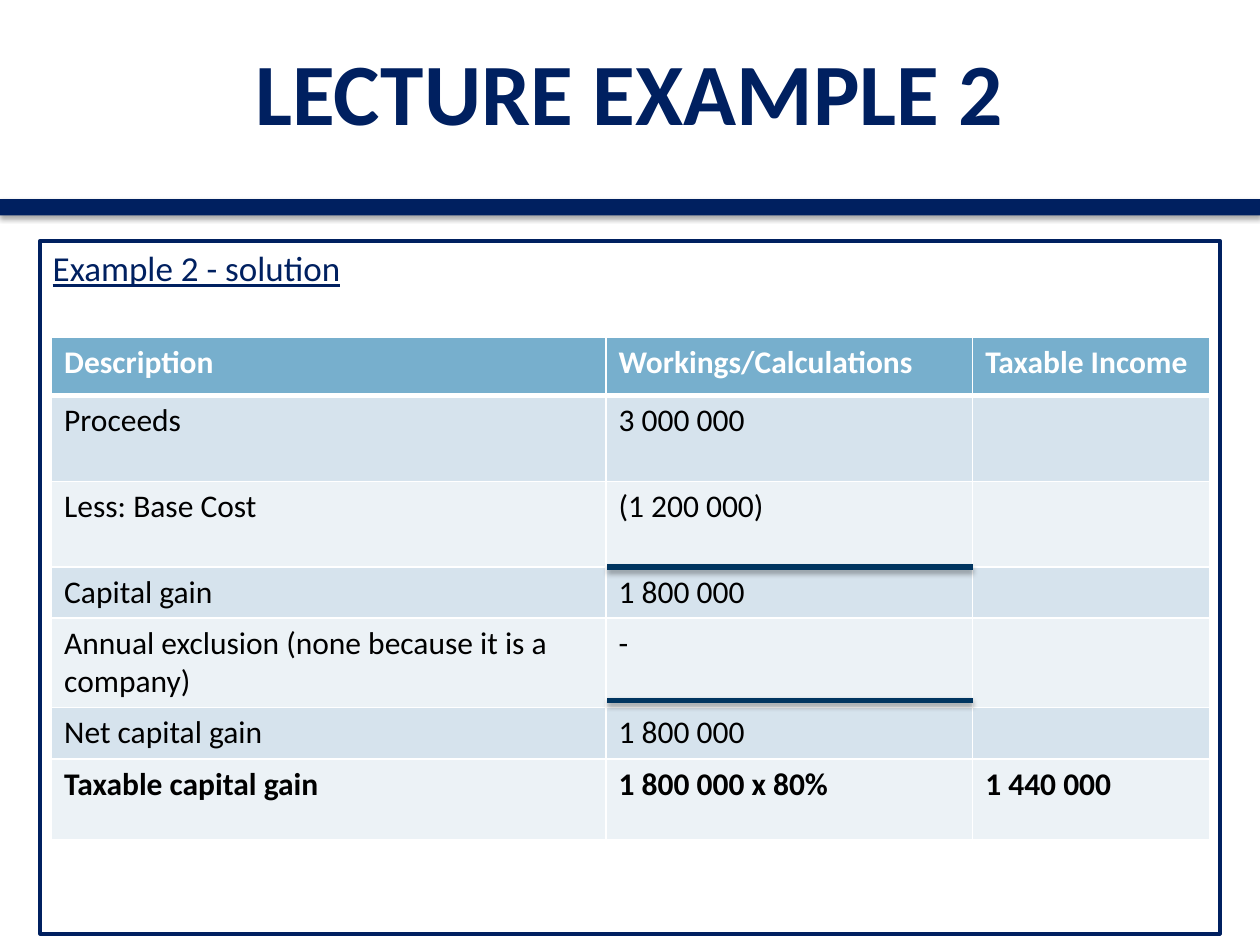
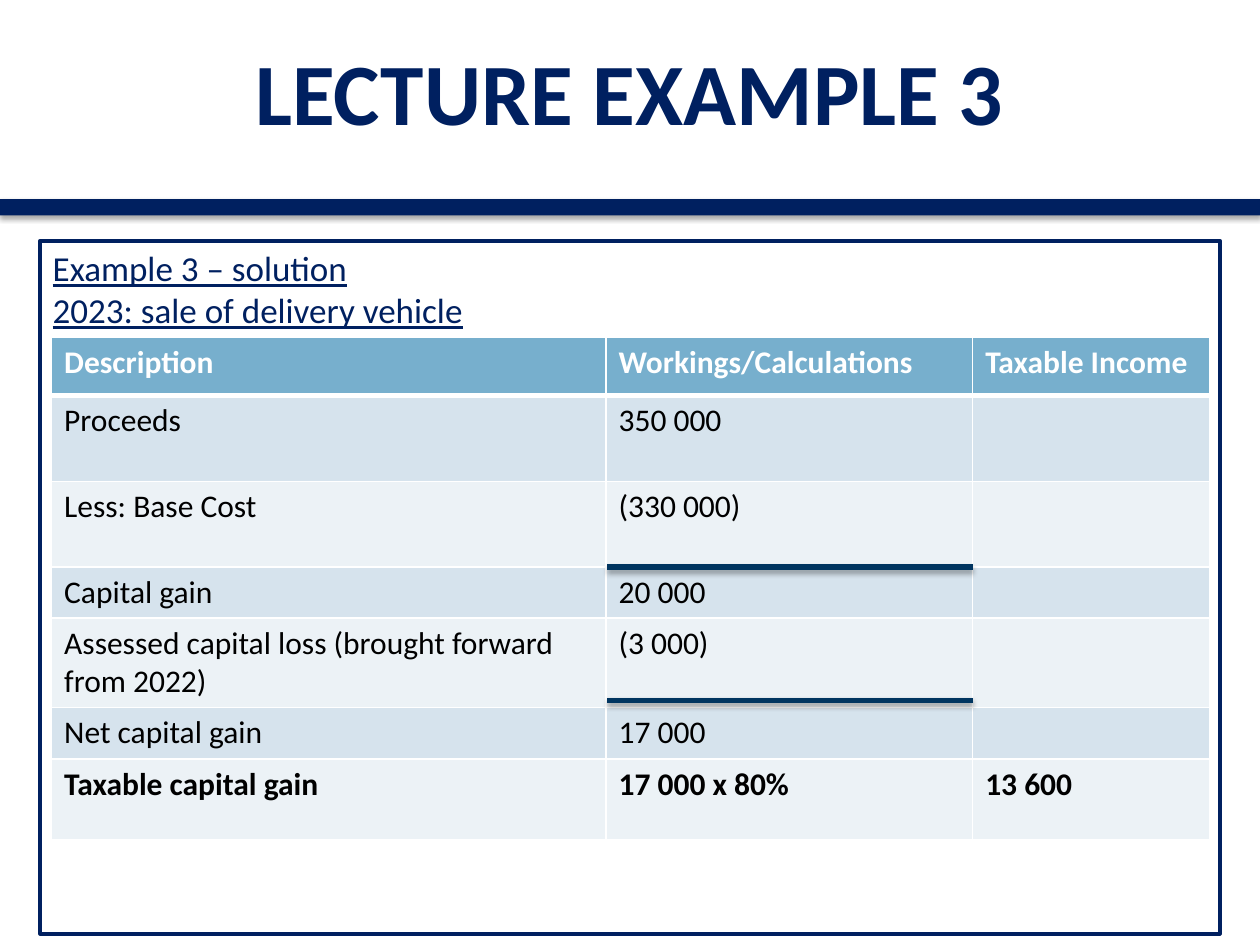
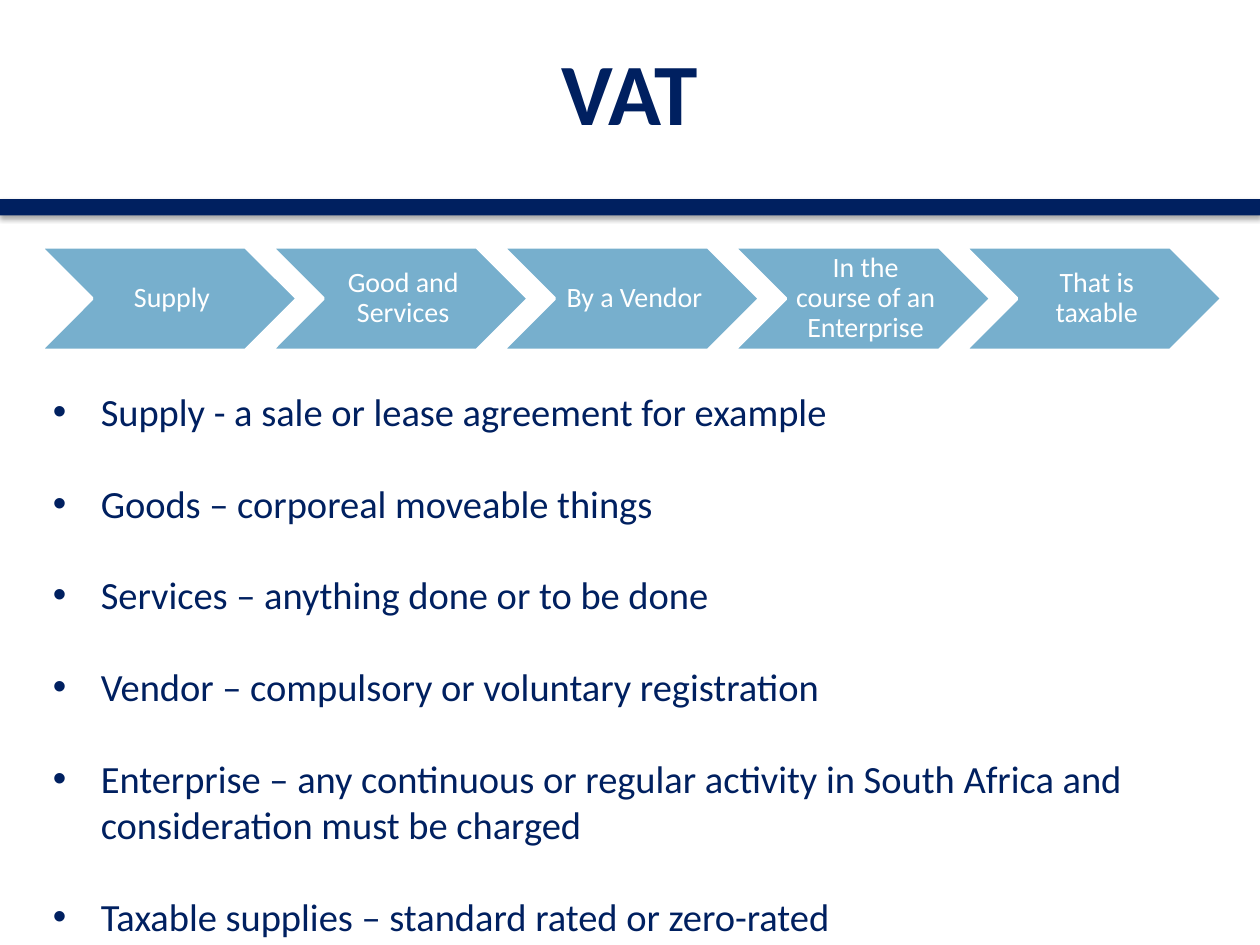
from dataclasses import dataclass

from lxml.etree import SubElement
from pptx import Presentation
from pptx.dml.color import RGBColor
from pptx.enum.shapes import MSO_CONNECTOR, MSO_SHAPE
from pptx.enum.text import MSO_ANCHOR, MSO_AUTO_SIZE, PP_ALIGN
from pptx.oxml.ns import qn
from pptx.oxml.xmlchemy import OxmlElement
from pptx.util import Inches, Pt

# Shared look
FONT = "Calibri"
COLORS = {
    "navy": "002060", "rule": "003560", "accent": "77AFCD", "white": "FFFFFF",
    "black": "000000", "band_dark": "D6E3ED", "band_light": "ECF2F6",
}

# Grid of 100 columns by 75 rows
WIDTH, HEIGHT = Inches(10), Inches(7.5)
GRID_COLS, GRID_ROWS = 100, 75

# Table geometry in grid units
TABLE_X, TABLE_Y = 4.1, 26.8
COL_WIDTHS = [44, 29.1, 18.8]
ROW_HEIGHTS = [4.6, 6.8, 6.8, 4, 6.4, 4.1, 6.4]
RULE_ROWS = [45, 55.6]
HEADER = ["Description", "Workings/Calculations", "Taxable Income"]


@dataclass
class Example:
    title: str
    headings: list[str]
    rows: list[list[str]]


EXAMPLES = [
    Example("LECTURE EXAMPLE 2", ["Example 2 - solution"], [
        ["Proceeds", "3 000 000", ""],
        ["Less: Base Cost", "(1 200 000)", ""],
        ["Capital gain", "1 800 000", ""],
        ["Annual exclusion (none because it is a company)", "-", ""],
        ["Net capital gain", "1 800 000", ""],
        ["Taxable capital gain", "1 800 000 x 80%", "1 440 000"],
    ]),
    Example("LECTURE EXAMPLE 3",
            ["Example 3 – solution", "2023: sale of delivery vehicle"], [
        ["Proceeds", "350 000", ""],
        ["Less: Base Cost", "(330 000)", ""],
        ["Capital gain", "20 000", ""],
        ["Assessed capital loss (brought forward from 2022)", "(3 000)", ""],
        ["Net capital gain", "17 000", ""],
        ["Taxable capital gain", "17 000 x 80%", "13 600"],
    ]),
]

VAT_STEPS = ["Supply", "Good and Services", "By a Vendor",
             "In the course of an Enterprise", "That is taxable"]
VAT_POINTS = [
    "Supply - a sale or lease agreement for example",
    "Goods – corporeal moveable things",
    "Services – anything done or to be done",
    "Vendor – compulsory or voluntary registration",
    "Enterprise – any continuous or regular activity in South Africa and "
    "consideration must be charged",
    "Taxable supplies – standard rated or zero-rated",
]


# Helpers
def gx(cols: float) -> int:
    return round(WIDTH * cols / GRID_COLS)


def gy(rows: float) -> int:
    return round(HEIGHT * rows / GRID_ROWS)


def box(x: float, y: float, w: float, h: float) -> tuple[int, int, int, int]:
    return gx(x), gy(y), gx(w), gy(h)


def rgb(name: str) -> RGBColor:
    return RGBColor.from_string(COLORS[name])


def add_run(p, text: str, size: float, color: str, bold=False, underline=False):
    r = p.add_run()
    r.text = text
    f = r.font
    f.name, f.size, f.bold, f.underline = FONT, Pt(size), bold, underline
    f.color.rgb = rgb(color)


def paragraphs(tf, texts: list[str]):
    """Yield each text with its paragraph, starting with the existing one."""
    for i, text in enumerate(texts):
        yield (tf.add_paragraph() if i else tf.paragraphs[0]), text


def add_shadow(sp):
    """Give a shape or connector a soft shadow straight below it."""
    effects = SubElement(sp._element.spPr, qn("a:effectLst"))
    shadow = SubElement(effects, qn("a:outerShdw"), blurRad=str(Pt(3.1)),
                        dist=str(Pt(1.8)), dir="5400000", rotWithShape="0")
    color = SubElement(shadow, qn("a:srgbClr"), val=COLORS["black"])
    SubElement(color, qn("a:alpha"), val="35000")


def add_box(slide, kind, area, fill: str, line: str = "", width: float = 0):
    sp = slide.shapes.add_shape(kind, *area)
    sp.fill.solid()
    sp.fill.fore_color.rgb = rgb(fill)
    if line:
        sp.line.color.rgb = rgb(line)
        sp.line.width = Pt(width)
    else:
        sp.line.fill.background()
    return sp


def place(sp, area):
    sp.left, sp.top, sp.width, sp.height = area
    sp.text_frame.auto_size = MSO_AUTO_SIZE.NONE
    sp.text_frame.word_wrap = True


def new_slide(prs, layout: int, title: str):
    """Add a slide with the title and the navy band below it."""
    slide = prs.slides.add_slide(prs.slide_layouts[layout])
    sp = slide.shapes.title
    place(sp, box(5, 0.9, 90, 12.5))
    sp.text_frame.vertical_anchor = MSO_ANCHOR.MIDDLE
    p = sp.text_frame.paragraphs[0]
    p.alignment = PP_ALIGN.CENTER
    add_run(p, title, 50, "navy", bold=True)
    band = add_box(slide, MSO_SHAPE.RECTANGLE, box(0, 15.8, GRID_COLS, 1.3), "navy")
    add_shadow(band)
    return slide


# Worked examples
def add_panel(slide, headings: list[str]):
    sp = add_box(slide, MSO_SHAPE.RECTANGLE, box(3.2, 19.1, 93.6, 55),
                 "white", "navy", 2.25)
    sp.shadow.inherit = False
    tf = sp.text_frame
    tf.word_wrap = True
    tf.vertical_anchor = MSO_ANCHOR.TOP
    for p, text in paragraphs(tf, headings):
        p.alignment = PP_ALIGN.LEFT
        add_run(p, text, 20, "navy", underline=True)


def set_borders(cell, bottom: float):
    tc_pr = cell._tc.get_or_add_tcPr()
    for i, side in enumerate("LRTB"):
        ln = OxmlElement(f"a:ln{side}")
        ln.set("w", str(Pt(bottom if side == "B" else 1)))
        fill = SubElement(ln, qn("a:solidFill"))
        SubElement(fill, qn("a:srgbClr"), val=COLORS["white"])
        tc_pr.insert(i, ln)


def add_solution_table(slide, rows: list[list[str]]):
    cells = [HEADER] + rows
    area = box(TABLE_X, TABLE_Y, sum(COL_WIDTHS), sum(ROW_HEIGHTS))
    table = slide.shapes.add_table(len(cells), len(HEADER), *area).table
    for column, width in zip(table.columns, COL_WIDTHS):
        column.width = gx(width)
    for i, texts in enumerate(cells):
        table.rows[i].height = gy(ROW_HEIGHTS[i])
        is_header, is_total = i == 0, i == len(rows)
        band = "accent" if is_header else "band_dark" if i % 2 else "band_light"
        for j, text in enumerate(texts):
            cell = table.cell(i, j)
            cell.fill.solid()
            cell.fill.fore_color.rgb = rgb(band)
            set_borders(cell, 3 if is_header else 1)
            if text:
                add_run(cell.text_frame.paragraphs[0], text, 18,
                        "white" if is_header else "black", bold=is_header or is_total)


def add_sum_rules(slide):
    left = TABLE_X + COL_WIDTHS[0] + 0.1
    right = left + COL_WIDTHS[1] - 0.1
    for y in RULE_ROWS:
        rule = slide.shapes.add_connector(MSO_CONNECTOR.STRAIGHT,
                                          gx(left), gy(y), gx(right), gy(y))
        rule.line.color.rgb = rgb("rule")
        rule.line.width = Pt(3)
        add_shadow(rule)


def build_example(prs, example: Example):
    slide = new_slide(prs, 5, example.title)
    add_panel(slide, example.headings)
    add_solution_table(slide, example.rows)
    add_sum_rules(slide)


# VAT overview
def add_steps(slide, steps: list[str]):
    for i, step in enumerate(steps):
        sp = add_box(slide, MSO_SHAPE.CHEVRON, box(3.2 + 18.35 * i, 19.6, 20.4, 8.2),
                     "accent", "white", 2)
        sp.shadow.inherit = False
        tf = sp.text_frame
        tf.word_wrap = True
        tf.vertical_anchor = MSO_ANCHOR.MIDDLE
        tf.margin_left = Inches(0.07)
        tf.margin_top = tf.margin_right = tf.margin_bottom = Inches(0.02)
        p = tf.paragraphs[0]
        p.alignment = PP_ALIGN.CENTER
        p.line_spacing = 0.9
        add_run(p, step, 16, "white")


def add_points(slide, points: list[str]):
    sp = slide.placeholders[1]
    place(sp, box(3.2, 30.3, 91.8, 44.7))
    tf = sp.text_frame
    tf.vertical_anchor = MSO_ANCHOR.TOP
    for p, text in paragraphs(tf, points):
        p.space_before = Pt(0)
        p.space_after = Pt(26)
        p_pr = p._p.get_or_add_pPr()
        p_pr.set("marL", str(Inches(0.38)))
        p_pr.set("indent", str(-Inches(0.38)))
        SubElement(p_pr, qn("a:buFont"), typeface="Arial")
        SubElement(p_pr, qn("a:buChar"), char="•")
        add_run(p, text, 22, "navy")


def build_vat(prs):
    slide = new_slide(prs, 1, "VAT")
    add_steps(slide, VAT_STEPS)
    add_points(slide, VAT_POINTS)


def main():
    prs = Presentation()
    prs.slide_width, prs.slide_height = WIDTH, HEIGHT
    for example in EXAMPLES:
        build_example(prs, example)
    build_vat(prs)
    prs.save("out.pptx")


if __name__ == "__main__":
    main()
